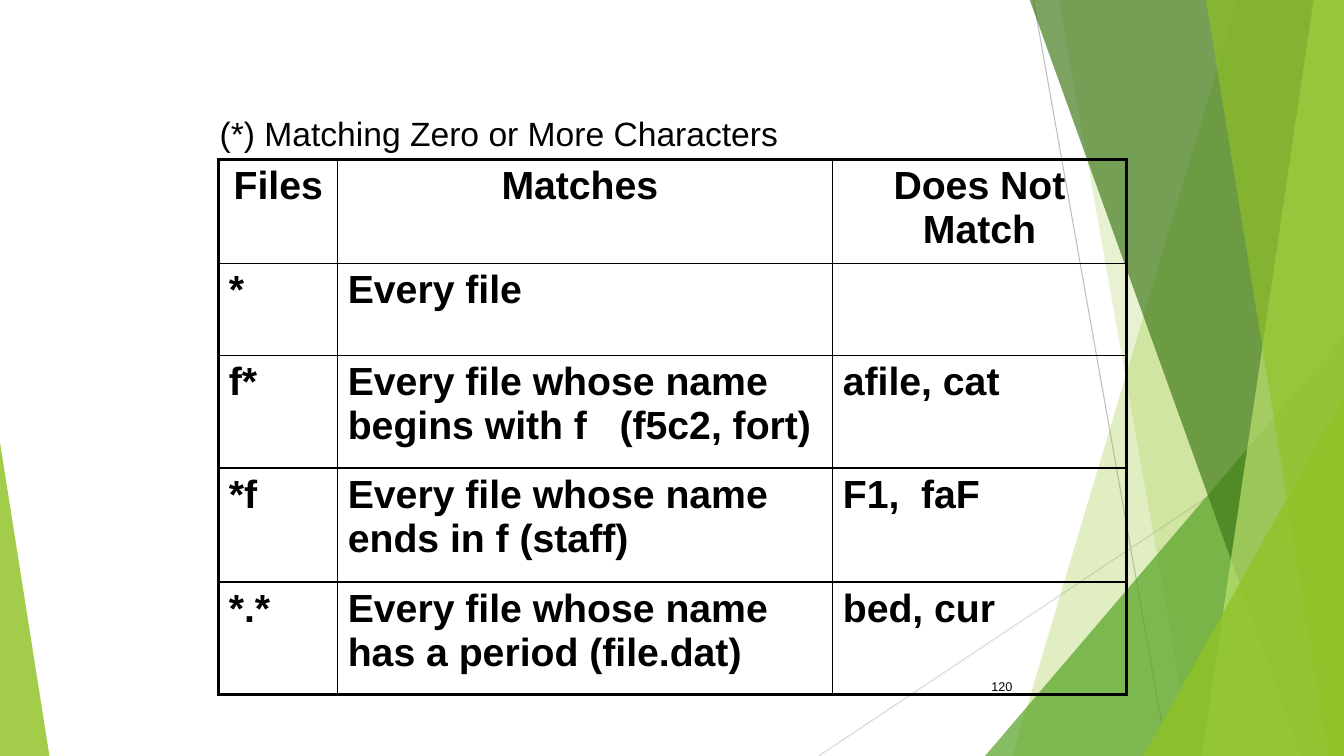
"""Slide on the * wildcard: a table of matching files over green facets."""
from lxml import etree
from pptx import Presentation
from pptx.dml.color import RGBColor
from pptx.enum.shapes import MSO_CONNECTOR, MSO_SHAPE
from pptx.enum.text import MSO_ANCHOR, PP_ALIGN
from pptx.oxml import parse_xml
from pptx.oxml.ns import nsdecls, qn
from pptx.util import Pt

PX = 9144
BLACK = RGBColor(0x00, 0x00, 0x00)
GREY = RGBColor(0xBF, 0xBF, 0xBF)
LIGHT_GREY = RGBColor(0xD8, 0xD8, 0xD8)
LIME = RGBColor(0x90, 0xC2, 0x26)
PALE_LIME = RGBColor(0xBF, 0xE4, 0x71)
GREEN = RGBColor(0x54, 0xA0, 0x21)
DARK_GREEN = RGBColor(0x3F, 0x78, 0x18)
STRAIGHT = MSO_CONNECTOR.STRAIGHT
TRIANGLE = MSO_SHAPE.ISOSCELES_TRIANGLE
LEFT, CENTER, RIGHT = PP_ALIGN.LEFT, PP_ALIGN.CENTER, PP_ALIGN.RIGHT
TOP, MIDDLE = MSO_ANCHOR.TOP, MSO_ANCHOR.MIDDLE
WIDTH, HEIGHT = 1333, 750
THIN, THICK = Pt(1), Pt(2.25)


def write(tf, text, size, align=LEFT, bold=False):
    p = tf.paragraphs[0]
    p.alignment = align
    r = p.add_run()
    r.text = text
    for name, value in {"name": "Arial", "size": Pt(size), "bold": bold}.items():
        setattr(r.font, name, value)
    r.font.color.rgb = BLACK
    return p


prs = Presentation()
prs.slide_width, prs.slide_height = WIDTH * PX, HEIGHT * PX
s = prs.slides.add_slide(prs.slide_layouts[6])

for x1, y1, x2, y2, color in [
    (1025, 0, 1158, HEIGHT, GREY),
    (WIDTH, 403, 812, HEIGHT, LIGHT_GREY),
]:
    line = s.shapes.add_connector(STRAIGHT, x1 * PX, y1 * PX, x2 * PX, y2 * PX)
    line.line.color.rgb = color
    line.line.width = Pt(0.75)
    etree.SubElement(line._element.spPr, qn("a:effectLst"))

facets = [
    ("band", (1228, 1004), LIME, 28),
    ("band", (1050, 1183), LIME, 20),
    ("triangle", (977, 333, 356, 1), GREEN, 70),
    ("band", (1021, 1291), DARK_GREEN, 68),
    ("band", (1303, 1192), PALE_LIME, 68),
    ("band", (1196, 1318), LIME, 63),
    ("triangle", (1134, 393, 199, 1), LIME, 80),
    ("triangle", (0, 439, 49, 0), LIME, 83),
]
for kind, geometry, color, opacity in facets:
    if kind == "band":
        top_x, bottom_x = geometry
        outline = s.shapes.build_freeform(top_x, -1, scale=PX)
        outline.add_line_segments([(WIDTH, -1), (WIDTH, HEIGHT), (bottom_x, HEIGHT)])
        sp = outline.convert_to_shape()
    else:
        x, y, w, apex = geometry
        sp = s.shapes.add_shape(TRIANGLE, x * PX, y * PX, w * PX, (HEIGHT - y) * PX)
        sp.adjustments[0] = apex
    sp.shadow.inherit = False
    sp.line.fill.background()
    sp.fill.solid()
    sp.fill.fore_color.rgb = color
    clr = sp._element.spPr.find(qn("a:solidFill")).find(qn("a:srgbClr"))
    etree.SubElement(clr, qn("a:alpha"), val=str(opacity * 1000))

for text, (x, y, w, h), size, align, anchor in [
    ("120", (939, 661, 75, 40), 9, RIGHT, MIDDLE),
    ("(*) Matching Zero or More Characters", (208, 107, 908, 50), 24, LEFT, TOP),
]:
    tf = s.shapes.add_textbox(x * PX, y * PX, w * PX, h * PX).text_frame
    tf.word_wrap = True
    tf.vertical_anchor = anchor
    write(tf, text, size, align)

rows = [
    ("Files", "Matches ", "Does Not Match"),
    ("*", "Every file", ""),
    ("f*", "Every file whose name begins with f   (f5c2, fort)", "afile, cat"),
    ("*f", "Every file whose name ends in f (staff)", "F1,  faF"),
    ("*.*", "Every file whose name has a period (file.dat)", "bed, cur"),
]
col_widths = [118, 491, 291]
row_heights = [103, 91, 112, 113, 112]
table = s.shapes.add_table(
    len(rows), len(col_widths), 217 * PX, 158 * PX,
    sum(col_widths) * PX, sum(row_heights) * PX).table
table.first_row = table.horz_banding = False
for column, width in zip(table.columns, col_widths):
    column.width = width * PX
for i, (row, height) in enumerate(zip(rows, row_heights)):
    table.rows[i].height = height * PX
    for j, text in enumerate(row):
        cell = table.cell(i, j)
        cell.fill.background()
        if text:
            write(cell.text_frame, text, 28, LEFT if i else CENTER, bold=True)
        outer = {
            "lnL": j == 0,
            "lnR": j == len(row) - 1,
            "lnT": i == 0,
            "lnB": i == len(rows) - 1,
        }
        tcPr = cell._tc.get_or_add_tcPr()
        for k, (side, is_outer) in enumerate(outer.items()):
            tcPr.insert(k, parse_xml(
                f'<a:{side} {nsdecls("a")} w="{THICK if is_outer else THIN}">'
                f'<a:solidFill><a:srgbClr val="{BLACK}"/></a:solidFill></a:{side}>'))

prs.save("out.pptx")
